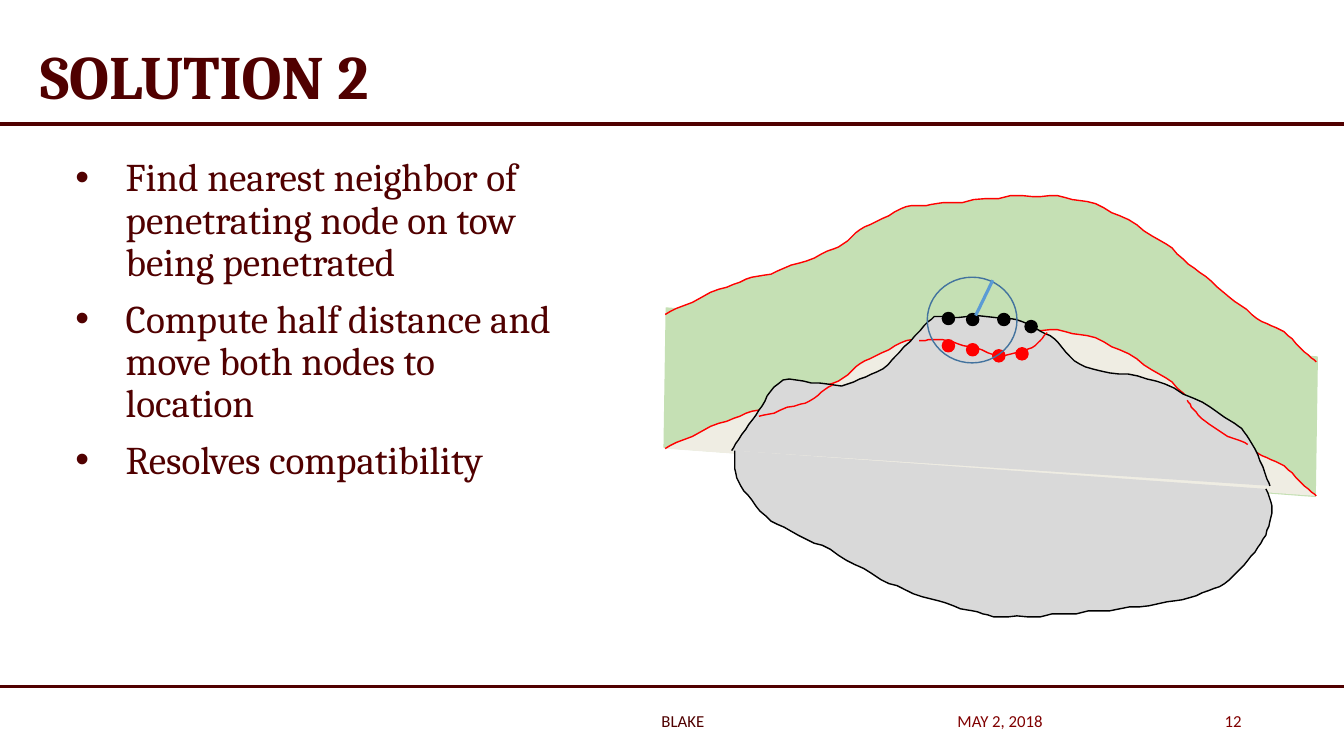
from dataclasses import dataclass
from math import sin

from lxml import etree
from pptx import Presentation
from pptx.dml.color import RGBColor
from pptx.enum.shapes import MSO_CONNECTOR, MSO_SHAPE
from pptx.enum.text import MSO_ANCHOR, PP_ALIGN
from pptx.oxml.ns import qn
from pptx.util import Cm, Pt

STRAIGHT = MSO_CONNECTOR.STRAIGHT
ELLIPSE, PARALLELOGRAM = MSO_SHAPE.OVAL, MSO_SHAPE.PARALLELOGRAM
TOP, MIDDLE = MSO_ANCHOR.TOP, MSO_ANCHOR.MIDDLE
LEFT, CENTER, RIGHT = PP_ALIGN.LEFT, PP_ALIGN.CENTER, PP_ALIGN.RIGHT


@dataclass(frozen=True)
class Theme:
    """Colours, fonts and type sizes of the slide."""
    maroon: str = "500000"
    footer_red: str = "800000"
    green: str = "C5E0B4"
    cream: str = "EFEDE3"
    grey: str = "D9D9D9"
    red: str = "FF0000"
    black: str = "000000"
    circle_blue: str = "43739E"
    radius_blue: str = "5B9BD5"
    serif: str = "Cambria"
    sans: str = "Calibri"
    title_size: int = 44
    body_size: int = 28
    footer_size: int = 12


THEME = Theme()
GRID = Cm(2.54) / 100
DOT = 12
TOW_THICKNESS = 133
CURVE_STEPS = 8
RIPPLE_HEIGHT, RIPPLE_LENGTH = 0.8, 6

UPPER_TOW_BENDS = [
    (660, 312), (721, 284), (771, 269), (827, 247), (853, 229), (899, 206), (936, 202),
    (1024, 194), (1087, 203), (1150, 238), (1196, 275), (1242, 312), (1278, 333), (1306, 360)]
LOWER_TOW_CROWN = [
    (726, 446), (750, 412), (777, 378), (835, 382), (881, 361), (921, 319), (938, 315),
    (1002, 316), (1042, 334), (1077, 364), (1147, 378), (1215, 413), (1242, 440), (1260, 482)]
LOWER_TOW_BELLY = [
    (729, 446), (733, 478), (765, 516), (824, 546), (890, 582), (953, 603), (1000, 612),
    (1091, 606), (1166, 596), (1215, 578), (1248, 543), (1262, 509), (1256, 484)]
LEFT_OVERLAP = [(753, 413), (799, 399), (826, 382)]
RIGHT_OVERLAP = [(1178, 396), (1196, 419), (1238, 442)]
PENETRATED_EDGE = [(912, 337), (945, 339), (991, 352), (1021, 346), (1039, 330)]
PENETRATING_NODES = [(935, 310), (959, 311), (990, 311), (1017, 318)]
PENETRATED_NODES = [(935, 337), (959, 341), (985, 347), (1008, 345)]

BULLETS = [
    "Find nearest neighbor of penetrating node on tow being penetrated",
    "Compute half distance and move both nodes to location",
    "Resolves compatibility"]


def grid(*units):
    """Turn diagram units into lengths."""
    return [round(unit * GRID) for unit in units]


def spline(before, start, end, after, t):
    """Return the Catmull-Rom value between start and end at t."""
    return start + t / 2 * (
        end - before
        + t * (2 * before - 5 * start + 4 * end - after)
        + t * t * (3 * (start - end) + after - before))


def fiber_curve(bends):
    """Join the bends by a smooth curve with a slight ripple."""
    padded = [bends[0], *bends, bends[-1]]
    curve = []
    for neighbors in zip(padded, padded[1:], padded[2:], padded[3:]):
        columns, rows = zip(*neighbors)
        for step in range(CURVE_STEPS):
            t = step / CURVE_STEPS
            curve.append((spline(*columns, t), spline(*rows, t)))
    curve.append(bends[-1])
    return [(x, y + RIPPLE_HEIGHT * sin(x / RIPPLE_LENGTH)) for x, y in curve]


def paint(shape, fill, line):
    """Set fill and outline, and remove the shadow."""
    shape.shadow.inherit = False
    if fill:
        shape.fill.solid()
        shape.fill.fore_color.rgb = RGBColor.from_string(fill)
    else:
        shape.fill.background()
    shape.line.color.rgb = RGBColor.from_string(line)
    shape.line.width = Pt(1)


def add_preset(slide, kind, box, fill, line):
    """Add a preset shape placed in diagram units."""
    shape = slide.shapes.add_shape(kind, *grid(*box))
    paint(shape, fill, line)
    return shape


def add_fiber(slide, bends, fill, line):
    """Add an open fiber outline through its bends."""
    start, *rest = fiber_curve(bends)
    builder = slide.shapes.build_freeform(*start, scale=GRID)
    builder.add_line_segments(rest, close=False)
    paint(builder.convert_to_shape(), fill, line)


def add_nodes(slide, corners, color):
    """Add one round dot per node."""
    for corner in corners:
        add_preset(slide, ELLIPSE, (*corner, DOT, DOT), color, color)


def add_line(slide, ends, color, width):
    """Add a straight line without shadow."""
    line = slide.shapes.add_connector(STRAIGHT, *ends)
    line.line.color.rgb = RGBColor.from_string(color)
    line.line.width = Pt(width)
    etree.SubElement(line._element.spPr, qn("a:effectLst"))


def add_bullet(paragraph):
    """Give a paragraph a hanging round bullet."""
    properties = paragraph._p.get_or_add_pPr()
    properties.set("marL", str(Cm(1.27)))
    properties.set("indent", str(-Cm(1.27)))
    etree.SubElement(properties, qn("a:buFont")).set("typeface", "Arial")
    etree.SubElement(properties, qn("a:buChar")).set("char", "•")


def add_text(slide, lines, box, *, size, font, color, bold=False, align=LEFT,
             anchor=MIDDLE, spacing=1.0, bullets=False):
    """Add a wrapped text box with one paragraph per line."""
    frame = slide.shapes.add_textbox(*[Cm(length) for length in box]).text_frame
    frame.word_wrap = True
    frame.vertical_anchor = anchor
    for index, line in enumerate(lines):
        paragraph = frame.add_paragraph() if index else frame.paragraphs[0]
        if bullets:
            add_bullet(paragraph)
        paragraph.alignment = align
        paragraph.line_spacing = spacing
        paragraph.space_before = Pt(10 if index else 0)
        run = paragraph.add_run()
        run.text = line
        run.font.size = Pt(size)
        run.font.name = font
        run.font.bold = bold
        run.font.color.rgb = RGBColor.from_string(color)


def add_upper_tow(slide):
    """Draw the green tow; its lower edge is the upper one moved down."""
    band = add_preset(slide, PARALLELOGRAM, (655, 330, 656, 138), THEME.green, THEME.green)
    band.adjustments[0] = 0.06
    band.rotation = 184.3
    band._element.spPr.xfrm.set("flipH", "1")
    lower_bends = [(x, y + TOW_THICKNESS) for x, y in UPPER_TOW_BENDS]
    add_fiber(slide, UPPER_TOW_BENDS, THEME.green, THEME.red)
    add_fiber(slide, lower_bends, THEME.cream, THEME.red)


def add_lower_tow(slide):
    """Draw the grey tow and the red edges that it overlaps."""
    for bends in (LOWER_TOW_CROWN, LOWER_TOW_BELLY):
        add_fiber(slide, bends, THEME.grey, THEME.black)
    for bends in (LEFT_OVERLAP, RIGHT_OVERLAP, PENETRATED_EDGE):
        add_fiber(slide, bends, None, THEME.red)


def add_neighbor_search(slide):
    """Draw the nodes with the search circle and its radius."""
    add_nodes(slide, PENETRATING_NODES, THEME.black)
    add_nodes(slide, PENETRATED_NODES, THEME.red)
    add_preset(slide, ELLIPSE, (920, 275, 89, 85), None, THEME.circle_blue)
    add_line(slide, grid(968, 313, 985, 278), THEME.radius_blue, 2.25)


def main():
    """Build and save the slide."""
    presentation = Presentation()
    presentation.slide_width, presentation.slide_height = Cm(33.87), Cm(19.05)
    slide = presentation.slides.add_slide(presentation.slide_layouts[6])
    for height, width in ((3.12, 2.5), (17.3, 2)):
        ends = (0, Cm(height), presentation.slide_width, Cm(height))
        add_line(slide, ends, THEME.maroon, width)
    add_text(slide, ["SOLUTION 2"], (0.76, -0.05, 26.67, 4.11), size=THEME.title_size,
             font=THEME.serif, color=THEME.maroon, bold=True, spacing=0.9)
    add_text(slide, BULLETS, (1.65, 3.86, 12.83, 11.68), size=THEME.body_size,
             font=THEME.serif, color=THEME.maroon, anchor=TOP, spacing=0.9, bullets=True)
    for add_part in (add_upper_tow, add_lower_tow, add_neighbor_search):
        add_part(slide)
    for text, left, width, align, color in (
            ("MAY 2, 2018", 23.88, 3.94, LEFT, THEME.footer_red),
            ("BLAKE", 11.23, 11.96, CENTER, THEME.maroon),
            ("12", 28.52, 3.02, RIGHT, THEME.footer_red)):
        add_text(slide, [text], (left, 17.66, width, 1.02), size=THEME.footer_size,
                 font=THEME.sans, color=color, align=align)
    presentation.save("out.pptx")


if __name__ == "__main__":
    main()
